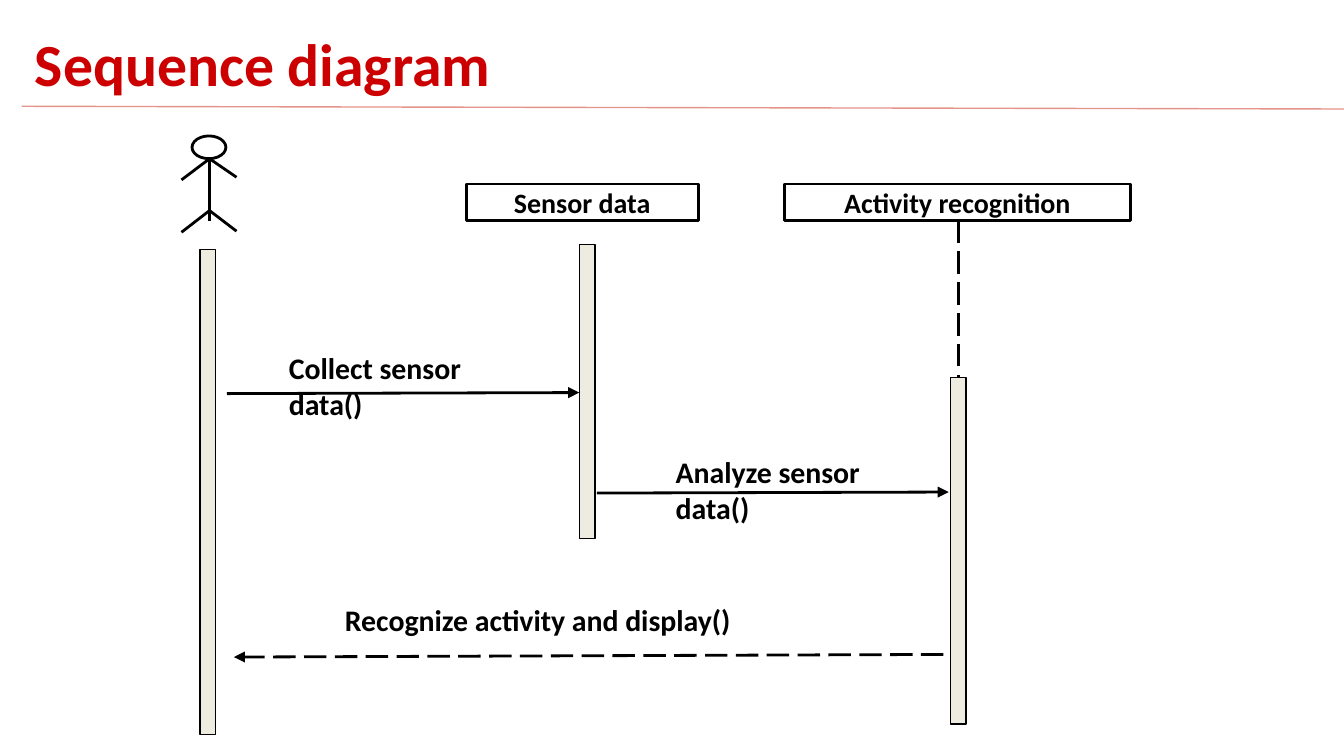
from lxml.etree import SubElement
from pptx import Presentation
from pptx.dml.color import RGBColor
from pptx.enum.dml import MSO_LINE
from pptx.enum.shapes import MSO_CONNECTOR, MSO_SHAPE
from pptx.enum.text import MSO_ANCHOR, MSO_AUTO_SIZE, PP_ALIGN
from pptx.oxml.ns import qn
from pptx.util import Cm, Pt

COLORS = {
    "title": "CC0000",
    "rule": "E4948A",
    "ink": "000000",
    "bar": "EEECE1",
    "box": "FFFFFF",
}


def write_text(shape, text, size, color="ink", align=PP_ALIGN.LEFT, anchor=MSO_ANCHOR.TOP):
    frame = shape.text_frame
    frame_format = {
        "word_wrap": True,
        "auto_size": MSO_AUTO_SIZE.NONE,
        "vertical_anchor": anchor,
        "margin_left": Cm(0.25),
        "margin_right": Cm(0.25),
        "margin_top": Cm(0.25),
        "margin_bottom": Cm(0.25),
    }
    for name, value in frame_format.items():
        setattr(frame, name, value)
    paragraph = frame.paragraphs[0]
    paragraph.alignment = align
    run = paragraph.add_run()
    run.text = text
    font_format = {"name": "Calibri", "size": Pt(size), "bold": True}
    for name, value in font_format.items():
        setattr(run.font, name, value)
    run.font.color.rgb = RGBColor.from_string(COLORS[color])


def draw_line(start, end, color="ink", width=1.5, dashed=False, arrow=False):
    points = [Cm(value) for value in (*start, *end)]
    connector = slide.shapes.add_connector(MSO_CONNECTOR.STRAIGHT, *points)
    connector.line.color.rgb = RGBColor.from_string(COLORS[color])
    connector.line.width = Pt(width)
    if dashed:
        connector.line.dash_style = MSO_LINE.LONG_DASH
    if arrow:
        SubElement(connector.line._get_or_add_ln(), qn("a:tailEnd"), type="triangle")
    SubElement(connector._element.spPr, qn("a:effectLst"))


presentation = Presentation()
presentation.slide_width = Cm(25.4)
presentation.slide_height = Cm(14.29)
slide = presentation.slides.add_slide(presentation.slide_layouts[5])

title = slide.shapes.title
title_place = {"left": 0.41, "top": 0.25, "width": 13.08, "height": 1.83}
for name, value in title_place.items():
    setattr(title, name, Cm(value))
write_text(title, "Sequence diagram", 32, "title")
draw_line((0.41, 2.01), (25.4, 2.06), "rule", 0.75)

activation_bars = [(3.78, 4.72, 9.17), (10.95, 4.62, 5.56), (17.96, 7.14, 6.55)]
for left, top, height in activation_bars:
    bar = slide.shapes.add_shape(MSO_SHAPE.RECTANGLE, Cm(left), Cm(top), Cm(0.3), Cm(height))
    bar.shadow.inherit = False
    bar.fill.solid()
    bar.fill.fore_color.rgb = RGBColor.from_string(COLORS["bar"])
    bar.line.color.rgb = RGBColor.from_string(COLORS["ink"])
    bar.line.width = Pt(0.75)

actor_head = slide.shapes.add_shape(MSO_SHAPE.OVAL, Cm(3.63), Cm(2.57), Cm(0.64), Cm(0.43))
actor_head.shadow.inherit = False
actor_head.fill.background()
actor_head.line.color.rgb = RGBColor.from_string(COLORS["ink"])
actor_head.line.width = Pt(1.5)

neck, hip = (3.96, 3.0), (3.96, 3.98)
actor_limbs = [
    (neck, (3.96, 4.17)),
    ((3.43, 3.4), neck),
    (neck, (4.47, 3.35)),
    ((3.43, 4.39), hip),
    (hip, (4.47, 4.37)),
]
for start, end in actor_limbs:
    draw_line(start, end)

messages = [
    ("Collect sensor data()", (5.21, 6.43, 4.67, 0.36), (4.29, 7.44), (10.95, 7.42), False),
    ("Analyze sensor data()", (12.52, 8.38, 4.67, 0.41), (11.28, 9.32), (17.93, 9.3), False),
    ("Recognize activity and display()", (6.27, 11.15, 10.36, 0.43), (17.83, 12.37), (4.42, 12.42), True),
]
for text, place, start, end, dashed in messages:
    draw_line(start, end, dashed=dashed, arrow=True)
    label = slide.shapes.add_textbox(*[Cm(value) for value in place])
    write_text(label, text, 16)

participants = [("Sensor data", 8.81, 4.39), ("Activity recognition", 14.83, 6.53)]
for text, left, width in participants:
    box = slide.shapes.add_shape(MSO_SHAPE.RECTANGLE, Cm(left), Cm(3.48), Cm(width), Cm(0.69))
    box.shadow.inherit = False
    box.fill.solid()
    box.fill.fore_color.rgb = RGBColor.from_string(COLORS["box"])
    box.line.color.rgb = RGBColor.from_string(COLORS["ink"])
    box.line.width = Pt(1.5)
    write_text(box, text, 15, align=PP_ALIGN.CENTER, anchor=MSO_ANCHOR.MIDDLE)

draw_line((18.11, 4.17), (18.11, 7.14), dashed=True)

presentation.save("out.pptx")
